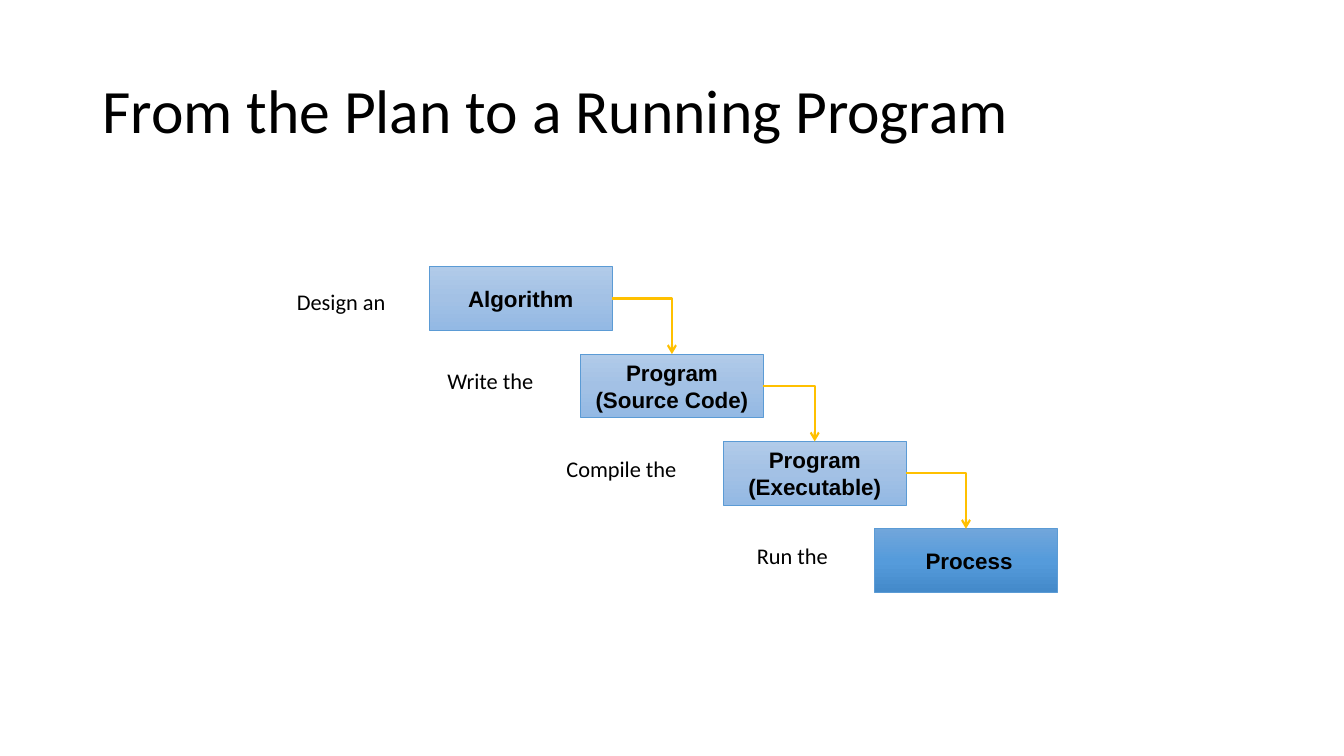
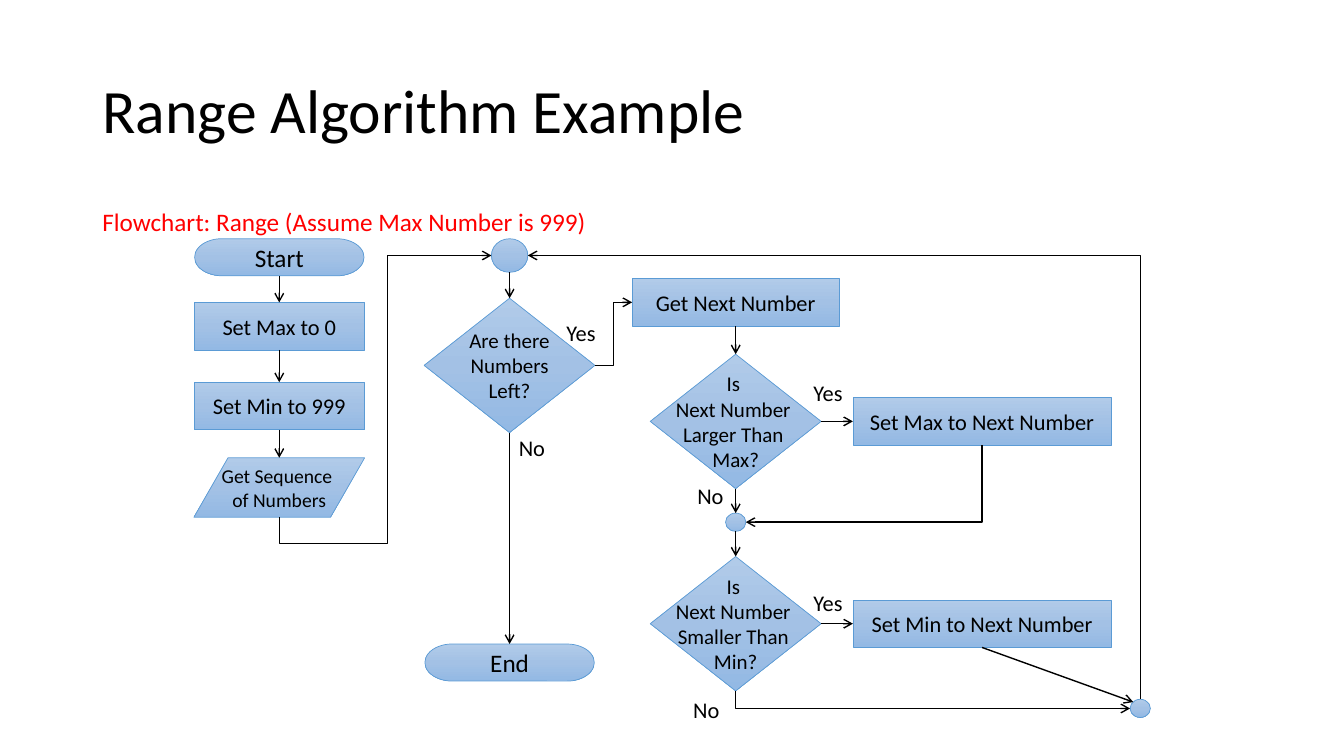
from copy import deepcopy

from pptx import Presentation
from pptx.dml.color import RGBColor
from pptx.enum.shapes import MSO_CONNECTOR, MSO_SHAPE
from pptx.enum.text import MSO_ANCHOR, PP_ALIGN
from pptx.oxml.ns import qn
from pptx.oxml.xmlchemy import OxmlElement
from pptx.util import Pt

RECT = MSO_SHAPE.RECTANGLE
PILL = MSO_SHAPE.FLOWCHART_TERMINATOR
SLANT = MSO_SHAPE.FLOWCHART_DATA
ROUND = MSO_SHAPE.FLOWCHART_CONNECTOR
CHOICE = MSO_SHAPE.FLOWCHART_DECISION
LINE, ELBOW = MSO_CONNECTOR.STRAIGHT, MSO_CONNECTOR.ELBOW
CENTER, MIDDLE = PP_ALIGN.CENTER, MSO_ANCHOR.MIDDLE
TOP, LEFT, BOTTOM, RIGHT = range(4)

# Connection sites for top, left, bottom and right where they are not 0 to 3
SITES = {ROUND: (0, 2, 4, 6), SLANT: (1, 2, 4, 5)}

COLORS = {
    "ink": "000000",
    "red": "FF0000",
    "gold": "FFC000",
    "edge": "5B9BD5",
}
PALE = ("B1CBE9", "A3C1E5", "93B9E4")
DEEP = ("71A6DB", "559BDB", "448ACA")
BODY, HEAVY = "Calibri", "Arial"


def color(name):
    return RGBColor.from_string(COLORS[name])


def style(frame, size, face=BODY, ink="ink", bold=False, align=None):
    for para in frame.paragraphs:
        font = para.font
        font.name, font.size, font.bold = face, Pt(size), bold
        font.color.rgb = color(ink)
        para.alignment = align


def label(slide, text, x, y, w, h=26.5, size=16, ink="ink", wrap=False):
    frame = slide.shapes.add_textbox(Pt(x), Pt(y), Pt(w), Pt(h)).text_frame
    frame.text = text
    frame.word_wrap = wrap
    style(frame, size, ink=ink)
    return frame


def start(deck, title):
    """Add a slide with its title."""
    slide = deck.slides.add_slide(deck.slide_layouts[6])
    frame = label(slide, title, 66, 29, 828, 104.5, 44, wrap=True)
    frame.vertical_anchor = MIDDLE
    frame.paragraphs[0].line_spacing = 0.9
    return slide


def shade(shape, tones):
    """Fill from top to bottom through three tones."""
    fill = shape.fill
    fill.gradient()
    fill.gradient_angle = 270
    stops = shape._element.spPr.find(qn("a:gradFill")).find(qn("a:gsLst"))
    stops.insert(1, deepcopy(stops[0]))
    for i, (stop, tone) in enumerate(zip(fill.gradient_stops, tones)):
        stop.position = i / 2
        stop.color.rgb = RGBColor.from_string(tone)


def node(slide, kind, mid, y, w, h, text="", size=16, tones=PALE,
         face=BODY, bold=False, wrap=False):
    """Draw a flowchart shape centred on the column at mid."""
    shape = slide.shapes.add_shape(kind, Pt(mid - w / 2), Pt(y), Pt(w), Pt(h))
    shape.shadow.inherit = False
    shade(shape, tones)
    shape.line.color.rgb = color("edge")
    shape.line.width = Pt(0.5)
    if text:
        frame = shape.text_frame
        frame.text = text
        frame.word_wrap = wrap
        frame.vertical_anchor = MIDDLE
        style(frame, size, face, bold=bold, align=CENTER)
    return shape


def ink(link, tint, width):
    """Give a connector its colour, width and arrowhead."""
    link.line.color.rgb = color(tint)
    link.line.width = Pt(width)
    head = OxmlElement("a:tailEnd")
    head.set("type", "arrow")
    link.line._ln.append(head)
    link._element.spPr.append(OxmlElement("a:effectLst"))


def site(link, tag, shape, side):
    """Name the true connection site of shapes with more than four."""
    if shape.auto_shape_type in SITES:
        end = next(link._element.iter(qn(tag)))
        end.set("idx", str(SITES[shape.auto_shape_type][side]))


def join(slide, a, out, b, into, kind=LINE, tint="ink", width=1):
    link = slide.shapes.add_connector(kind, 0, 0, 0, 0)
    link.begin_connect(a, out)
    link.end_connect(b, into)
    site(link, "a:stCxn", a, out)
    site(link, "a:endCxn", b, into)
    ink(link, tint, width)
    return link


def turn(link):
    """Rotate an elbow so that it leaves its start vertically."""
    x, y = link.begin_x, link.begin_y
    dx, dy = link.end_x - x, link.end_y - y
    w, h = abs(dy), abs(dx)
    link.left, link.top = x + (dx - w) // 2, y + (dy - h) // 2
    link.width, link.height = w, h
    form = link._element.spPr.find(qn("a:xfrm"))
    form.set("rot", str((90 if dy > 0 else 270) * 60000))
    form.set("flipH", "0")
    form.set("flipV", "1" if dx * dy > 0 else "0")


def bend(slide, a, out, b, into, parts=2, ratios=(), **look):
    """Join two shapes by an elbow of so many parts."""
    link = join(slide, a, out, b, into, ELBOW, **look)
    geom = link._element.spPr.find(qn("a:prstGeom"))
    geom.set("prst", f"bentConnector{parts}")
    guides = geom.find(qn("a:avLst"))
    if guides is None:
        guides = OxmlElement("a:avLst")
        geom.append(guides)
    for i, ratio in enumerate(ratios, 1):
        guide = OxmlElement("a:gd")
        guide.set("name", f"adj{i}")
        guide.set("fmla", f"val {round(ratio * 100000)}")
        guides.append(guide)
    if out in (TOP, BOTTOM):
        turn(link)


def chain(slide, *nodes):
    """Join nodes downwards, one to the next."""
    for a, b in zip(nodes, nodes[1:]):
        join(slide, a, BOTTOM, b, TOP)


def plan(deck):
    slide = start(deck, "From the Plan to a Running Program")
    steps = [
        ("Algorithm", 372, PALE, "Design an", 205, 12, 78.5),
        ("Program (Source Code)", 480, PALE, "Write the", 312.5, 6, 80.5),
        ("Program (Executable)", 582, PALE, "Compile the", 397.5, 6, 94.5),
        (" Process", 690, DEEP, "Run the", 533.5, 6, 66),
    ]
    boxes = []
    for i, (name, mid, tones, verb, x, drop, w) in enumerate(steps):
        y = 190.5 + 62.4 * i
        boxes.append(node(slide, RECT, mid, y, 130.5, 45.5, name,
                          tones=tones, face=HEAVY, bold=True, wrap=True))
        label(slide, verb, x, y + drop, w)
    for a, b in zip(boxes, boxes[1:]):
        bend(slide, a, RIGHT, b, TOP, tint="gold", width=1.5)


def flow(deck):
    slide = start(deck, "Range Algorithm Example")
    label(slide, "Flowchart: Range (Assume Max Number is 999)",
          66, 144, 828, 30, 18, "red", True)

    setup, loop, test, store, back = 199.5, 364, 525.5, 701.5, 814.5

    def pill(mid, y, text):
        return node(slide, PILL, mid, y, 121, 26.5, text, 18)

    def box(mid, y, w, text):
        return node(slide, RECT, mid, y, w, 34, text)

    def ask(mid, y, text):
        return node(slide, CHOICE, mid, y, 122, 96, text, 15)

    def dot(mid, y, w=14.5, h=13):
        return node(slide, ROUND, mid, y, w, h)

    begin = pill(setup, 170.5, "Start")
    high = box(setup, 216, 122, "Set Max to 0")
    low = box(setup, 273, 122, "Set Min to 999")
    fetch = node(slide, SLANT, setup, 327, 122, 42.5,
                 "Get Sequence \nof Numbers", 14)
    hub = dot(loop, 170.5, 26, 24)
    more = ask(loop, 213, "Are there\nNumbers\nLeft?")
    end = pill(loop, 460, "End")
    item = box(test, 199, 148, "Get Next Number")
    above = ask(test, 253, "Is \nNext Number \nLarger Than \nMax?")
    merge = dot(test, 366.5)
    below = ask(test, 397.5, "Is \nNext Number \nSmaller Than \nMin?")
    grow = box(store, 284, 184.5, "Set Max to Next Number")
    cut = box(store, 428.5, 184.5, "Set Min to Next Number")
    exit_dot = dot(back, 499.5)

    chain(slide, begin, high, low, fetch)
    chain(slide, hub, more, end)
    chain(slide, item, above, merge, below)
    for a, b in ((above, grow), (below, cut)):
        join(slide, a, RIGHT, b, LEFT)
    bend(slide, fetch, BOTTOM, hub, LEFT, 4, (-0.1, 0.51))
    bend(slide, exit_dot, TOP, hub, RIGHT)
    bend(slide, grow, BOTTOM, merge, RIGHT)
    bend(slide, below, BOTTOM, exit_dot, LEFT)
    bend(slide, more, RIGHT, item, LEFT, 3, (0.5,))
    slope = slide.shapes.add_connector(LINE, 0, 0, Pt(809.5), Pt(501.5))
    slope.begin_connect(cut, BOTTOM)
    ink(slope, "ink", 1)

    for text, x, y in (("Yes", 397.5, 224.5), ("No", 363.5, 306.5),
                       ("Yes", 574, 267), ("No", 491, 340.5),
                       ("Yes", 574, 417.5), ("No", 488, 494)):
        label(slide, text, x, y, 35)


def main():
    deck = Presentation()
    deck.slide_width, deck.slide_height = Pt(960), Pt(540)
    plan(deck)
    flow(deck)
    deck.save("out.pptx")


if __name__ == "__main__":
    main()
